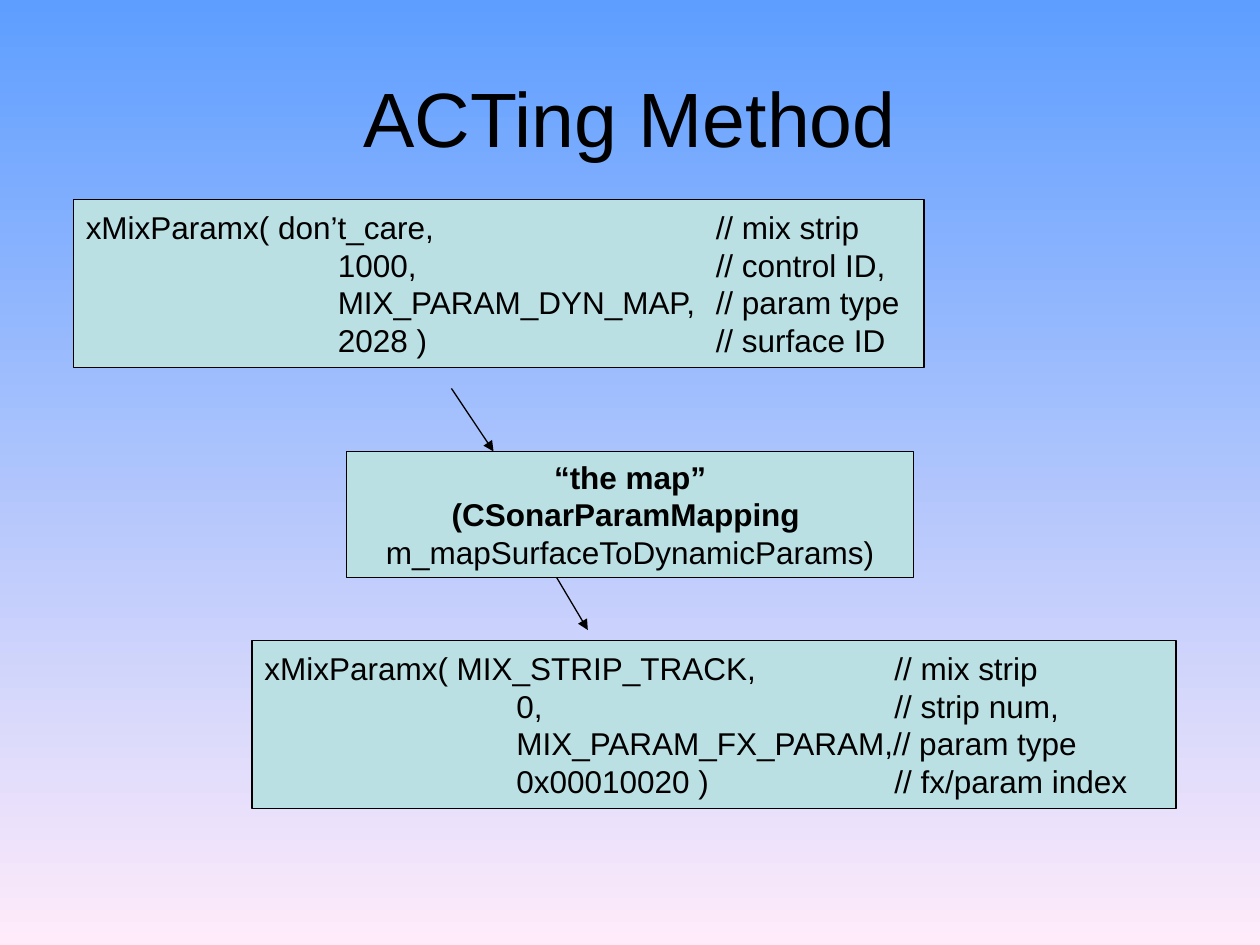
from lxml.etree import SubElement
from pptx import Presentation
from pptx.dml.color import RGBColor
from pptx.enum.shapes import MSO_CONNECTOR, MSO_SHAPE
from pptx.enum.text import MSO_ANCHOR, PP_ALIGN
from pptx.oxml.ns import qn
from pptx.util import Cm, Pt

COLORS = {"sky": "5E9EFF", "blush": "FFEBFA", "panel": "BBE0E3", "ink": "000000"}


class SlideBuilder:
    """Draws titles, panels and arrows in one shared style."""

    font_name = "Arial"
    tab_width = Cm(2.54)
    tab_count = 7

    def __init__(self, slide):
        self.slide = slide

    def color(self, name):
        return RGBColor.from_string(COLORS[name])

    def background(self, top, bottom):
        fill = self.slide.background.fill
        fill.gradient()
        fill.gradient_angle = 270
        for stop, name in zip(fill.gradient_stops, (top, bottom)):
            stop.color.rgb = self.color(name)

    def set_text(self, frame, lines, size, align, bold_lines=0):
        frame.word_wrap = True
        frame.vertical_anchor = MSO_ANCHOR.MIDDLE
        frame.text = "\n".join(lines)
        for index, paragraph in enumerate(frame.paragraphs):
            paragraph.alignment = align
            tabs = SubElement(paragraph._p.get_or_add_pPr(), qn("a:tabLst"))
            for stop in range(1, self.tab_count + 1):
                SubElement(tabs, qn("a:tab"), pos=str(stop * self.tab_width), algn="l")
            font = paragraph.font
            font.name = self.font_name
            font.size = Pt(size)
            font.bold = index < bold_lines
            font.color.rgb = self.color("ink")

    def title(self, text, left, top, width, height):
        box = self.slide.shapes.add_textbox(Cm(left), Cm(top), Cm(width), Cm(height))
        self.set_text(box.text_frame, [text], 44, PP_ALIGN.CENTER)

    def panel(self, lines, left, top, width, height, align=PP_ALIGN.LEFT, bold_lines=0):
        panel = self.slide.shapes.add_shape(
            MSO_SHAPE.RECTANGLE, Cm(left), Cm(top), Cm(width), Cm(height))
        panel.shadow.inherit = False
        panel.fill.solid()
        panel.fill.fore_color.rgb = self.color("panel")
        self.outline(panel.line)
        self.set_text(panel.text_frame, lines, 18, align, bold_lines)

    def outline(self, line):
        line.color.rgb = self.color("ink")
        line.width = Pt(0.75)

    def arrow(self, x1, y1, x2, y2):
        arrow = self.slide.shapes.add_connector(
            MSO_CONNECTOR.STRAIGHT, Cm(x1), Cm(y1), Cm(x2), Cm(y2))
        self.outline(arrow.line)
        SubElement(arrow.line._get_or_add_ln(), qn("a:tailEnd"), type="triangle")
        SubElement(arrow._element.spPr, qn("a:effectLst"))


def main():
    deck = Presentation()
    deck.slide_width, deck.slide_height = Cm(25.4), Cm(19.05)
    builder = SlideBuilder(deck.slides.add_slide(deck.slide_layouts[6]))

    builder.background("sky", "blush")
    builder.title("ACTing Method", 1.27, 0.76, 22.86, 3.18)
    builder.panel([
        "xMixParamx( don’t_care,\t\t\t// mix strip",
        "\t\t1000, \t\t\t// control ID,",
        "\t\tMIX_PARAM_DYN_MAP,\t// param type",
        "\t\t2028 )\t\t\t// surface ID",
    ], 1.48, 4.02, 17.15, 3.39)
    builder.panel([
        "xMixParamx( MIX_STRIP_TRACK,\t\t// mix strip",
        "\t\t0, \t\t\t// strip num,",
        "\t\tMIX_PARAM_FX_PARAM,// param type",
        "\t\t0x00010020 )\t\t// fx/param index",
    ], 5.08, 12.91, 18.63, 3.39)
    builder.panel([
        "“the map”",
        "(CSonarParamMapping ",
        "m_mapSurfaceToDynamicParams)",
    ], 6.99, 9.1, 11.43, 2.54, PP_ALIGN.CENTER, bold_lines=2)
    builder.arrow(9.1, 7.83, 9.95, 9.1)
    builder.arrow(11.22, 11.64, 11.85, 12.7)

    deck.save("out.pptx")


if __name__ == "__main__":
    main()
